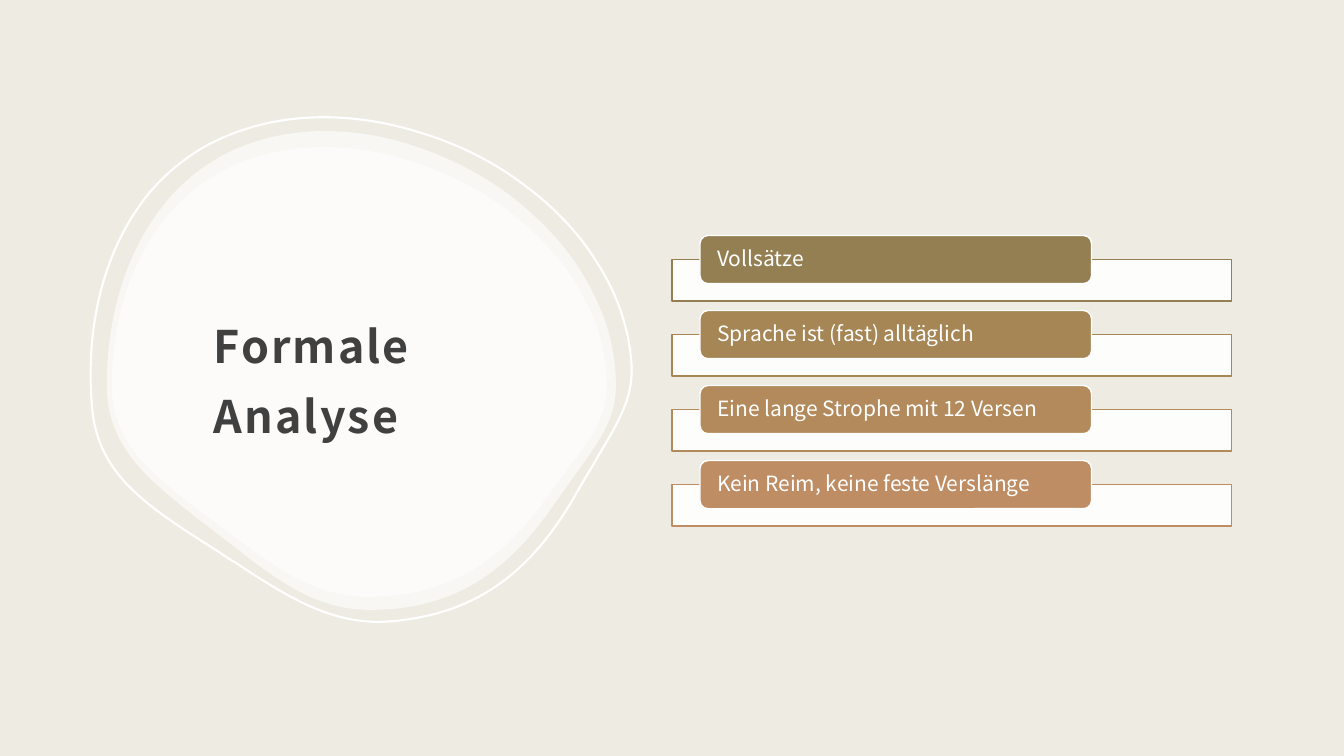
"""Build the slide on the formal analysis of a poem."""
from dataclasses import dataclass
from typing import Any, Optional

from lxml.etree import SubElement
from pptx import Presentation
from pptx.dml.color import RGBColor as RGB
from pptx.enum.shapes import MSO_SHAPE as Kind
from pptx.enum.text import MSO_ANCHOR as Anchor, MSO_AUTO_SIZE as Fit, PP_ALIGN as Align
from pptx.oxml.ns import qn
from pptx.util import Pt


@dataclass
class Blob:
    box: tuple[float, float, float, float]
    fill: Optional[str] = None
    line: Optional[str] = None
    turn: float = 0


@dataclass
class Point:
    text: str
    hue: str


FACE = "Noto Sans CJK JP"
LEFT, TOP = 106, 130
START = (322, 130)
CURVES = [
    (289, 130, 258, 137, 231, 149), (206, 161, 183, 178, 165, 200),
    (127, 246, 106, 310, 106, 382), (106, 410, 114, 433, 132, 456),
    (151, 480, 180, 502, 210, 525), (215, 529, 221, 534, 227, 538),
    (278, 579, 316, 605, 367, 605), (445, 605, 501, 573, 552, 497),
    (559, 487, 566, 478, 572, 469), (598, 433, 611, 414, 611, 382),
    (611, 350, 603, 318, 587, 288), (572, 258, 550, 231, 522, 207),
    (495, 183, 462, 164, 428, 151), (393, 137, 357, 130, 322, 130),
]
BLOBS = [
    Blob((76.3, 93.6, 363.6, 342), fill="FFFFFF"),
    Blob((79.9, 105.1, 353.5, 321.1), fill="FFFFFF"),
    Blob((64.1, 81.4, 386.6, 363.6), line="FFFFFF", turn=355),
]
POINTS = [
    Point("Vollsätze", "947F53"),
    Point("Sprache ist (fast) alltäglich", "A68655"),
    Point("Eine lange Strophe mit 12 Versen", "B38A5B"),
    Point("Kein Reim, keine feste Verslänge", "BE8D64"),
]
BAR = (480, 185.4, 399.6, 29.6)
TAG = (500, 168.2, 279.7, 34.4)
PITCH = 53.6


def color(code: str) -> RGB:
    return RGB.from_string(code)


def assign(item: Any, values: dict[str, Any]) -> None:
    for name, value in values.items():
        setattr(item, name, value)


def place(shape: Any, box: tuple[float, float, float, float]) -> None:
    assign(shape, dict(zip(("left", "top", "width", "height"), map(Pt, box))))


def paint(shape: Any, fill: Optional[str], line: Optional[str],
          width: float = 1, alpha: int = 100) -> None:
    shape.shadow.inherit = False
    if fill:
        shape.fill.solid()
        shape.fill.fore_color.rgb = color(fill)
        if alpha < 100:
            tone = shape.fill._xPr.find(qn("a:solidFill"))[0]
            SubElement(tone, qn("a:alpha"), val=str(alpha * 1000))
    else:
        shape.fill.background()
    if line:
        shape.line.color.rgb = color(line)
        shape.line.width = Pt(width)
    else:
        shape.line.fill.background()


def write(shape: Any, text: str, frame: dict[str, Any], para: dict[str, Any],
          font: dict[str, Any], hue: str) -> Any:
    body = shape.text_frame
    body.text = text
    assign(body, {"word_wrap": True, "auto_size": Fit.NONE,
                  "vertical_anchor": Anchor.MIDDLE, **frame})
    line = body.paragraphs[0]
    assign(line, {"alignment": Align.LEFT, **para})
    run = line.runs[0]
    assign(run.font, {"name": FACE, **font})
    run.font.color.rgb = color(hue)
    return run


def bend(shape: Any) -> None:
    sides = list(shape._element.iter(qn("a:lnTo")))
    for side, curve in zip(sides, CURVES):
        side.tag = qn("a:cubicBezTo")
        side.remove(side[0])
        for x, y in zip(curve[::2], curve[1::2]):
            SubElement(side, qn("a:pt"), x=str(x - LEFT), y=str(y - TOP))


def add_blob(slide: Any, blob: Blob) -> None:
    pen = slide.shapes.build_freeform(*START, scale=Pt(1))
    pen.add_line_segments([curve[4:] for curve in CURVES], close=True)
    shape = pen.convert_to_shape()
    bend(shape)
    place(shape, blob.box)
    shape.rotation = blob.turn
    paint(shape, blob.fill, blob.line, 1.5, 60)


def add_point(slide: Any, point: Point, row: int) -> None:
    def add(kind: Any, box: tuple[float, float, float, float]) -> Any:
        x, y, w, h = box
        return slide.shapes.add_shape(kind, Pt(x), Pt(y + row * PITCH), Pt(w), Pt(h))

    paint(add(Kind.RECTANGLE, BAR), "FFFFFF", point.hue, alpha=90)
    tag = add(Kind.ROUNDED_RECTANGLE, TAG)
    paint(tag, point.hue, "FFFFFF")
    write(tag, point.text,
          {"margin_left": Pt(10.6), "margin_right": Pt(10.6),
           "margin_top": 0, "margin_bottom": 0},
          {"line_spacing": 0.9}, {"size": Pt(15)}, "FFFFFF")


def main() -> None:
    deck = Presentation()
    assign(deck, {"slide_width": Pt(960), "slide_height": Pt(540)})
    slide = deck.slides.add_slide(deck.slide_layouts[5])
    slide.background.fill.solid()
    slide.background.fill.fore_color.rgb = color("EEEBE2")
    for blob in BLOBS:
        add_blob(slide, blob)
    title = slide.shapes.title
    slide.shapes._spTree.append(title._element)
    place(title, (144, 149.8, 260.6, 231.1))
    run = write(title, "Formale Analyse",
                {"margin_left": Pt(8.64), "margin_right": Pt(8.64),
                 "margin_top": Pt(8.64), "margin_bottom": Pt(7.2)},
                {"line_spacing": 1.3}, {"size": Pt(32), "bold": True}, "404040")
    run.font._element.set("spc", "150")
    for row, point in enumerate(POINTS):
        add_point(slide, point, row)
    deck.save("out.pptx")


if __name__ == "__main__":
    main()
